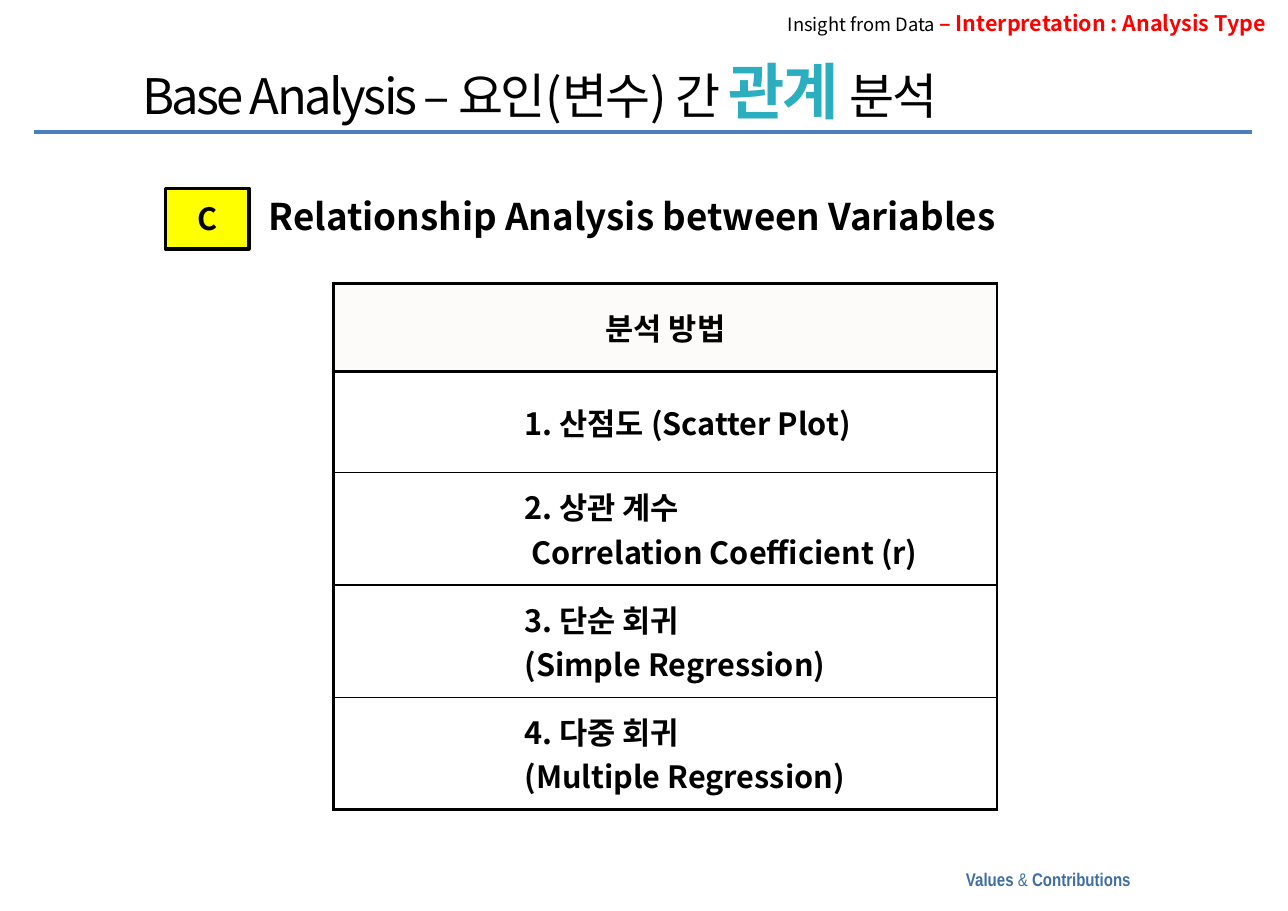
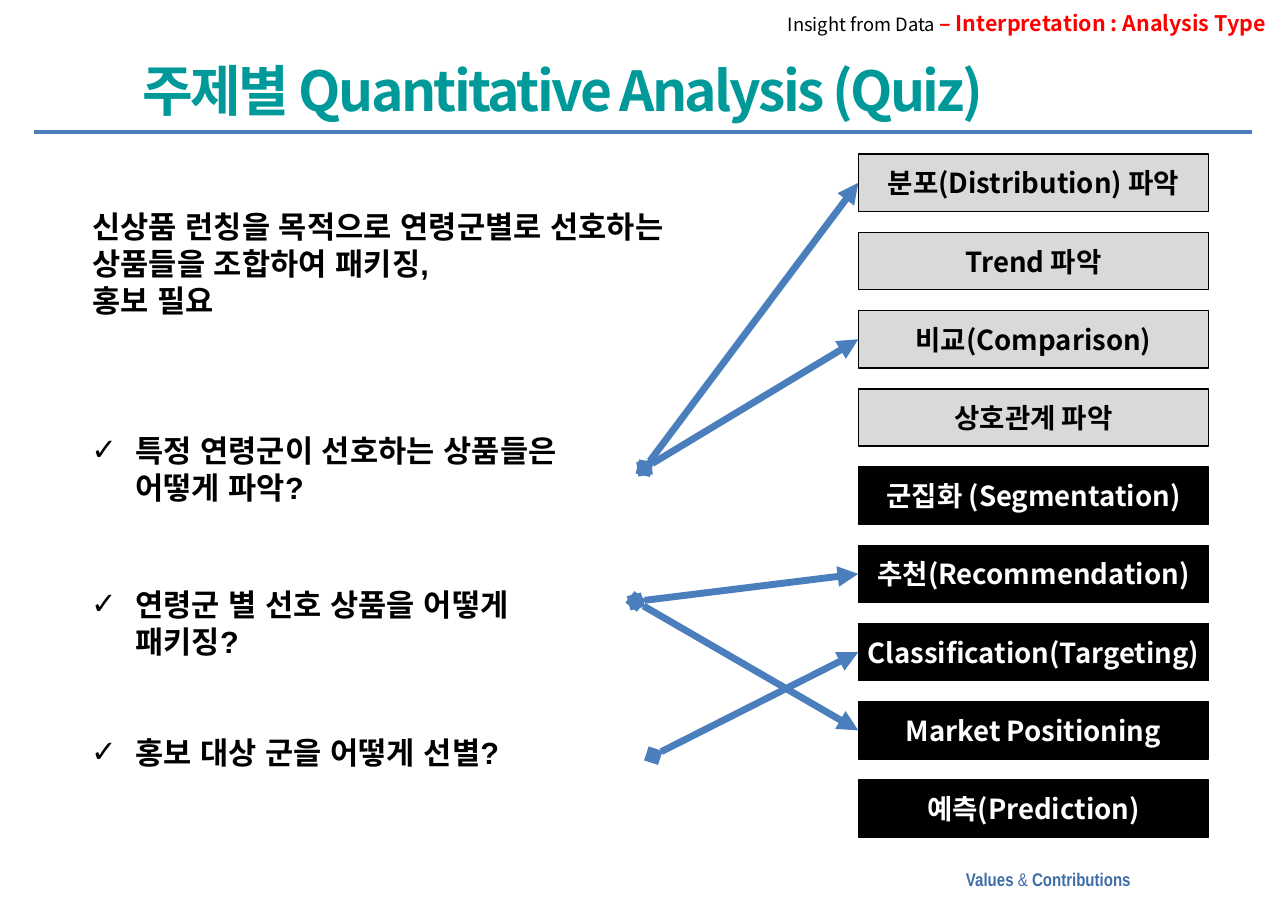
from pptx import Presentation
from pptx.dml.color import RGBColor
from pptx.enum.shapes import MSO_CONNECTOR, MSO_SHAPE, PP_PLACEHOLDER
from pptx.enum.text import MSO_ANCHOR, MSO_AUTO_SIZE, PP_ALIGN
from pptx.oxml.ns import qn
from pptx.util import Inches, Pt
from lxml.etree import SubElement, Element

COLOURS = {
    "black": "000000",
    "white": "FFFFFF",
    "blue": "4B7EBC",
    "footer": "3F6EA7",
    "red": "FF0000",
    "cyan": "2AAEC0",
    "teal": "009999",
    "yellow": "FFFF00",
    "grey": "D9D9D9",
    "cream": "FCFBF9",
}
MAIN_FONT = "Noto Sans CJK KR"
BODY_FONT = "Arial"
FOOTER_FONT = "Arial Narrow"


def colour(name):
    return RGBColor.from_string(COLOURS[name])


class Deck:
    def __init__(self):
        self.presentation = Presentation()
        self.presentation.slide_width = Inches(11.69)
        self.presentation.slide_height = Inches(8.27)
        self.layout = self.presentation.slide_layouts[5]
        self.slide = None

    def add_slide(self, *title_pieces):
        first = self.slide is None
        self.slide = self.presentation.slides.add_slide(self.layout)
        self.title(*title_pieces)
        if first:
            self.fill_layout()
        self.text((6.54, 0.04, 5.05, 0.34),
                  ("Insight from Data ", 12, "black", False),
                  ("– Interpretation : Analysis Type", 14, "red", True),
                  align=PP_ALIGN.RIGHT)

    def fill_layout(self):
        for placeholder in list(self.layout.placeholders):
            if placeholder.placeholder_format.type != PP_PLACEHOLDER.TITLE:
                self.layout.shapes.element.remove(placeholder.element)
        rule = self.line((0.31, 1.2), (11.36, 1.2), 3)
        footer = self.text((7.92, 7.83, 2.48, 0.3),
                           ("Values ", 12, "footer", True),
                           ("& ", 12, "footer", False),
                           ("Contributions ", 12, "footer", True),
                           align=PP_ALIGN.RIGHT, font=FOOTER_FONT)
        for shape in (rule, footer):
            self.layout.shapes.element.append(shape.element)

    def set_text(self, paragraph, *pieces, align=PP_ALIGN.LEFT, font=MAIN_FONT, spacing=None):
        paragraph.alignment = align
        paragraph.space_before = Pt(0)
        for text, size, ink, bold in pieces:
            for index, line in enumerate(text.split("\n")):
                if index:
                    paragraph.add_line_break()
                run = paragraph.add_run()
                run.text = line
                run.font.size = Pt(size)
                run.font.bold = bold
                run.font.color.rgb = colour(ink)
                run.font.name = font
                properties = run._r.get_or_add_rPr()
                SubElement(properties, qn("a:ea")).set("typeface", font)
                if spacing is not None:
                    properties.set("spc", str(spacing))

    def set_frame(self, frame, anchor, side=0.1, edge=0.05):
        frame.word_wrap = True
        frame.auto_size = MSO_AUTO_SIZE.NONE
        frame.vertical_anchor = anchor
        frame.margin_left = frame.margin_right = Inches(side)
        frame.margin_top = frame.margin_bottom = Inches(edge)

    def title(self, *pieces):
        title = self.slide.shapes.title
        title.left, title.top = Inches(1.18), Inches(0.5)
        title.width, title.height = Inches(10.18), Inches(0.63)
        self.set_frame(title.text_frame, MSO_ANCHOR.MIDDLE, 0.11, 0.06)
        self.set_text(title.text_frame.paragraphs[0], *pieces, spacing=-170)

    def text(self, place, *pieces, side=0.1, **style):
        shape = self.slide.shapes.add_textbox(*map(Inches, place))
        self.set_frame(shape.text_frame, MSO_ANCHOR.TOP, side)
        self.set_text(shape.text_frame.paragraphs[0], *pieces, **style)
        return shape

    def question(self, place, text):
        shape = self.text(place, (text, 20, "black", True), font=BODY_FONT)
        properties = shape.text_frame.paragraphs[0]._p.get_or_add_pPr()
        properties.set("marL", str(Inches(0.4)))
        properties.set("indent", str(-Inches(0.4)))
        SubElement(properties, qn("a:buFont")).set("typeface", BODY_FONT)
        SubElement(properties, qn("a:buChar")).set("char", "✓")
        tab = SubElement(SubElement(properties, qn("a:tabLst")), qn("a:tab"))
        tab.set("pos", str(Inches(0.29)))
        tab.set("algn", "l")

    def box(self, place, text, size, fill, ink, line_width, side):
        shape = self.slide.shapes.add_shape(MSO_SHAPE.RECTANGLE, *map(Inches, place))
        shape.shadow.inherit = False
        shape.fill.solid()
        shape.fill.fore_color.rgb = colour(fill)
        shape.line.color.rgb = colour("black")
        shape.line.width = Pt(line_width)
        self.set_frame(shape.text_frame, MSO_ANCHOR.MIDDLE, side)
        self.set_text(shape.text_frame.paragraphs[0], (text, size, ink, True),
                      align=PP_ALIGN.CENTER)
        return shape

    def line(self, start, end, width):
        connector = self.slide.shapes.add_connector(
            MSO_CONNECTOR.STRAIGHT, *map(Inches, start + end))
        connector.line.color.rgb = colour("blue")
        connector.line.width = Pt(width)
        SubElement(connector.element.spPr, qn("a:effectLst"))
        return connector

    def arrow(self, start, target):
        end = (target.left.inches, target.top.inches + target.height.inches / 2)
        connector = self.line(start, end, 4.5)
        connector.end_connect(target, 1)
        outline = connector.element.spPr.find(qn("a:ln"))
        SubElement(outline, qn("a:headEnd")).set("type", "diamond")
        SubElement(outline, qn("a:tailEnd")).set("type", "triangle")

    def borders(self, cell, widths):
        properties = cell._tc.get_or_add_tcPr()
        for index, (side, width) in enumerate(zip("LRTB", widths)):
            border = Element(qn(f"a:ln{side}"), w=str(Pt(width)))
            fill = SubElement(border, qn("a:solidFill"))
            SubElement(fill, qn("a:srgbClr")).set("val", COLOURS["black"])
            properties.insert(index, border)

    def table(self, place, heights, rows):
        table = self.slide.shapes.add_table(len(rows), 1, *map(Inches, place)).table
        last = len(rows) - 1
        for index, (height, lines) in enumerate(zip(heights, rows)):
            table.rows[index].height = Inches(height)
            cell = table.cell(index, 0)
            header = index == 0
            cell.vertical_anchor = MSO_ANCHOR.MIDDLE
            cell.margin_left = Inches(0.04 if header else 1.73)
            cell.margin_right = Inches(0.04)
            cell.margin_top = cell.margin_bottom = Inches(0.06)
            if header:
                cell.fill.solid()
                cell.fill.fore_color.rgb = colour("cream")
            else:
                cell.fill.background()
            self.borders(cell, (2.25, 1, 2.25 if index < 2 else 1,
                                2.25 if index in (0, last) else 1))
            frame = cell.text_frame
            for number, line in enumerate(lines):
                paragraph = frame.add_paragraph() if number else frame.paragraphs[0]
                self.set_text(paragraph, (line, 20, "black", True),
                              align=PP_ALIGN.CENTER if header else PP_ALIGN.LEFT)
        return table


def relationship_slide(deck):
    deck.add_slide(("Base Analysis – 요인(변수) 간 ", 32, "black", False),
                   ("관계 ", 40, "cyan", True),
                   ("분석", 32, "black", False))
    deck.text((2.33, 1.71, 7.75, 0.51),
              ("Relationship Analysis between Variables", 24, "black", True), side=0.11)
    deck.box((1.5, 1.71, 0.76, 0.55), "C", 20, "yellow", "black", 2.25, 0.11)
    methods = deck.table((3.03, 2.57, 6.02, 4.77), (0.8, 0.92, 1.02, 1.02, 1.02), [
        ["분석 방법"],
        ["1. 산점도 (Scatter Plot)"],
        ["2. 상관 계수", "Correlation Coefficient (r)"],
        ["3. 단순 회귀", "(Simple Regression)"],
        ["4. 다중 회귀", "(Multiple Regression)"],
    ])
    correlation = methods.cell(2, 0).text_frame.paragraphs[1]
    correlation._p.get_or_add_pPr().set("marL", str(Inches(0.06)))


def quiz_slide(deck):
    deck.add_slide(("주제별 Quantitative Analysis (Quiz)", 36, "teal", True))
    deck.text((0.74, 1.84, 6.36, 1.78),
              ("신상품 런칭을 목적으로 연령군별로 선호하는 상품들을 조합하여 패키징,\n홍보 필요",
               20, "black", True), font=BODY_FONT)
    analyses = [
        "분포(Distribution) 파악", "Trend 파악", "비교(Comparison)", "상호관계 파악",
        "군집화 (Segmentation)", "추천(Recommendation)", "Classification(Targeting)",
        "Market Positioning", "예측(Prediction)",
    ]
    boxes = []
    for index, name in enumerate(analyses):
        fill, ink = ("grey", "black") if index < 4 else ("black", "white")
        boxes.append(deck.box((7.79, 1.4 + 0.71 * index, 3.18, 0.52),
                              name, 18, fill, ink, 1, 0))
    questions = [
        ((0.73, 3.87, 5.12, 0.77), "특정 연령군이 선호하는 상품들은 어떻게 파악?",
         (5.85, 4.25), (0, 2)),
        ((0.73, 5.27, 5.04, 0.77), "연령군 별 선호 상품을 어떻게\n패키징?",
         (5.77, 5.46), (5, 7)),
        ((0.73, 6.61, 5.2, 0.44), "홍보 대상 군을 어떻게 선별?",
         (5.93, 6.86), (6,)),
    ]
    for place, text, start, answers in questions:
        deck.question(place, text)
        for answer in answers:
            deck.arrow(start, boxes[answer])


def main():
    deck = Deck()
    relationship_slide(deck)
    quiz_slide(deck)
    deck.presentation.save("out.pptx")


if __name__ == "__main__":
    main()
